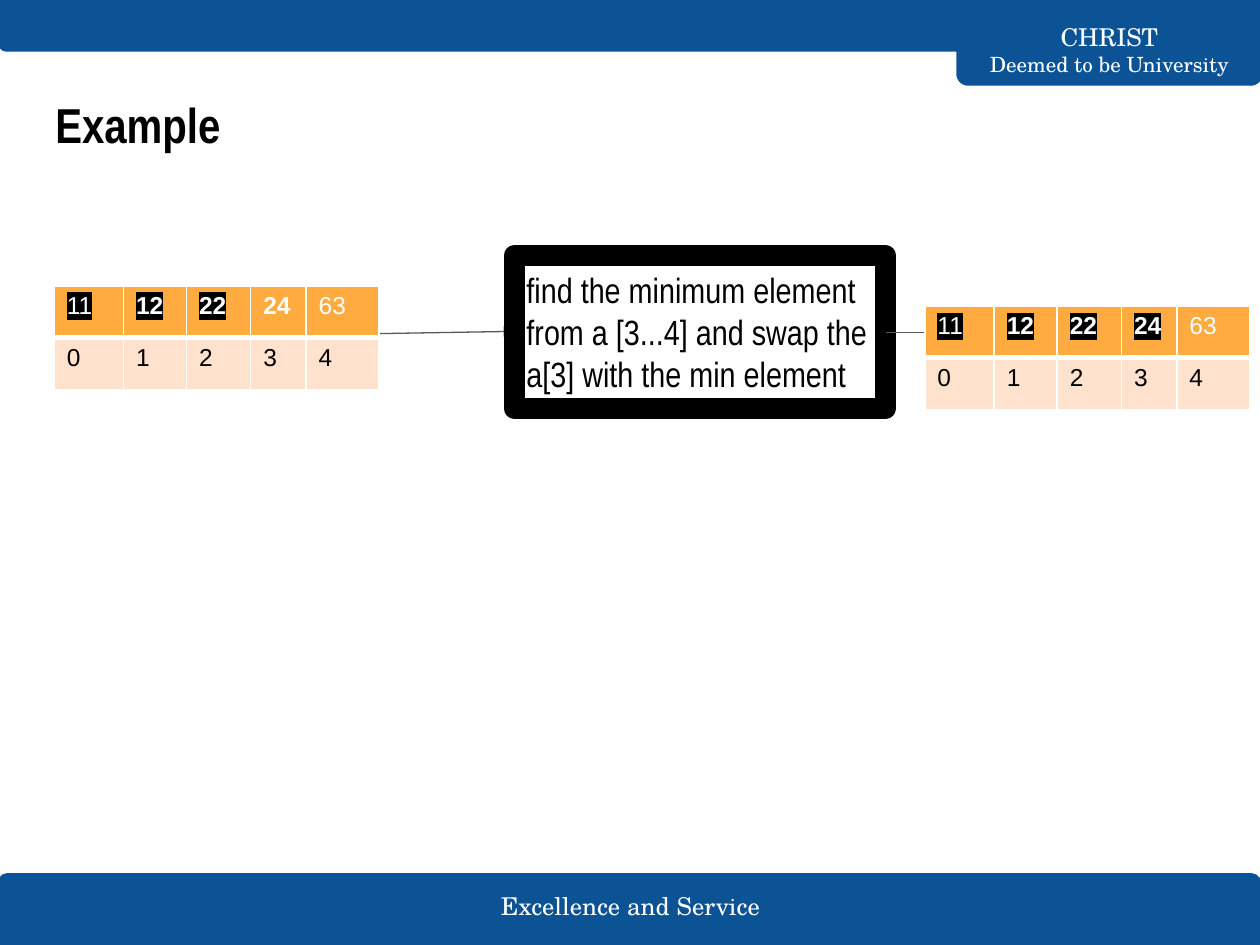
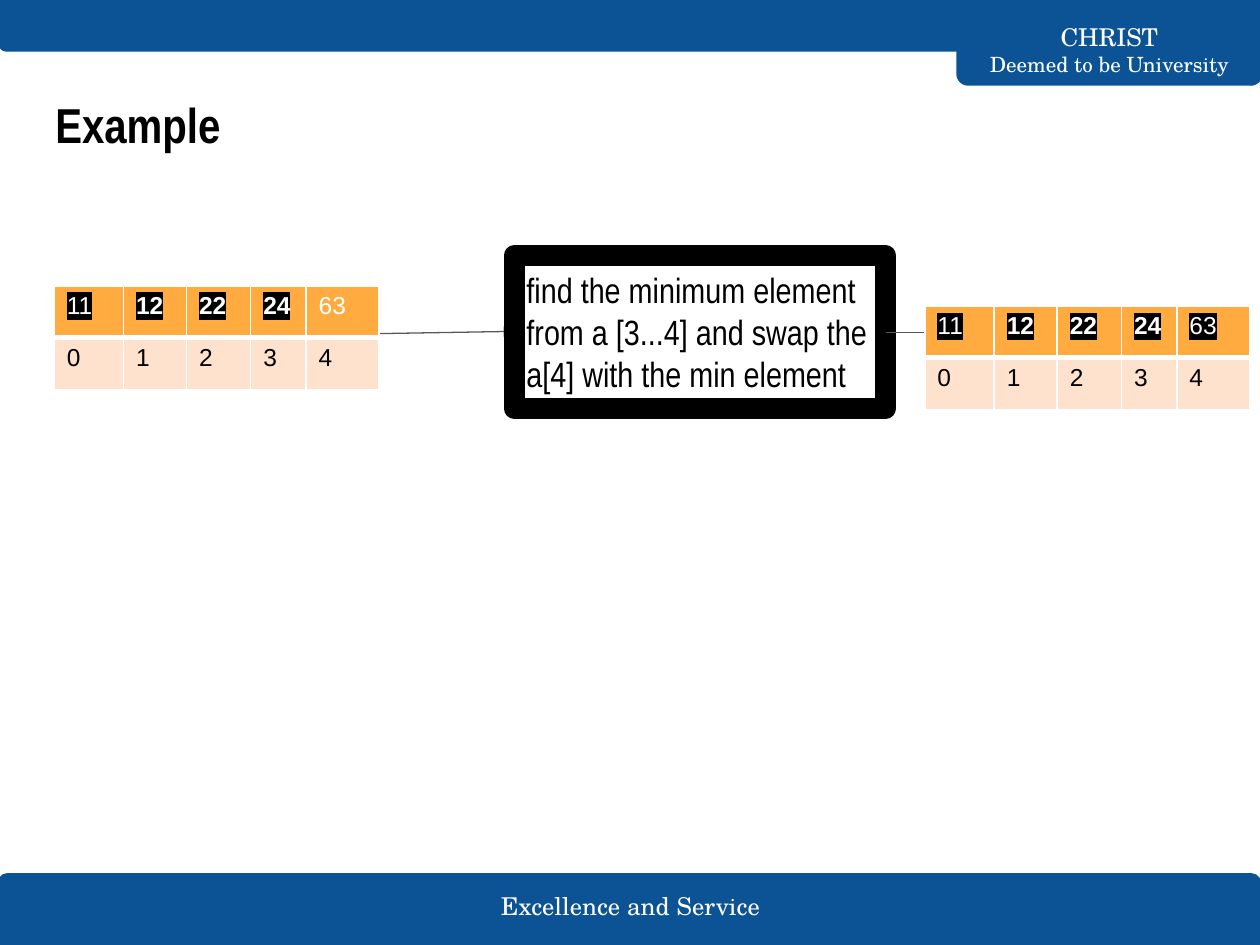
from lxml.etree import SubElement
from pptx import Presentation
from pptx.dml.color import RGBColor
from pptx.enum.shapes import MSO_CONNECTOR as Connector, MSO_SHAPE as Shape
from pptx.enum.text import MSO_ANCHOR as Anchor, MSO_AUTO_SIZE as AutoSize, PP_ALIGN as Align
from pptx.oxml.ns import qn
from pptx.util import Inches, Pt

COLORS = {
    "band": "0B5394", "white": "FFFFFF", "black": "000000",
    "arrow": "595959", "values": "FFAB40", "indexes": "FFE2CD",
}
SERIF, NARROW, SANS = "TeX Gyre Schola", "Arial Narrow", "Arial"

UNIVERSITY = [("CHRIST", 14), ("Deemed to be University", 12)]
MOTTO = "Excellence and Service"
TITLE = "Example"
ARRAY = ["11", "12", "22", "24", "63"]
BOLD_VALUES = {"12", "22", "24"}

# Each step: instruction, number of sorted values before and after it
STEPS = [
    ("find the minimum element from a [3...4] and swap the a[3] with the min element", 3, 4),
    ("find the minimum element from a [3...4] and swap the a[4] with the min element", 4, 5),
]

# Left, top, width, height, rotation
BANDS = [
    (-0.01, 6.94, 10.01, 0.56, 0),
    (7.6, 0, 2.41, 0.67, 180),
    (0, 0, 10.01, 0.4, 180),
]
MOTTO_BOX = (3.66, 7.03, 2.69, 0.32)
UNIVERSITY_BOX = (7.6, 0.27, 2.41, 0.25)
TITLE_BOX = (0.34, 0.65, 9.32, 0.83)
INSTRUCTION_BOX = (4.08, 2.03, 2.95, 1.21)
ARROW_IN = (2.87, 2.65, 4.08, 2.63)
ARROW_OUT = (7.03, 2.64, 7.91, 2.64)
BEFORE_AT, AFTER_AT = (0.43, 2.27), (7.34, 2.43)
COLUMN_WIDTHS = [0.55, 0.5, 0.51, 0.44, 0.58]
ROW_HEIGHT = 0.41


def rgb(name):
    return RGBColor.from_string(COLORS[name])


def inches(lengths):
    return [Inches(length) for length in lengths]


def add_run(paragraph, text, size, font_name, color, bold=False):
    run = paragraph.add_run()
    run.text = text
    run.font.size, run.font.name, run.font.bold = Pt(size), font_name, bold
    run.font.color.rgb = rgb(color)
    return run


def prepare_frame(shape, anchor=Anchor.TOP, align=Align.LEFT):
    """Set wrapping, insets and alignment; return the first paragraph."""
    frame = shape.text_frame
    frame.word_wrap = True
    frame.vertical_anchor = anchor
    frame.margin_left = frame.margin_right = Inches(0.1)
    frame.margin_top = frame.margin_bottom = Inches(0.1)
    frame.paragraphs[0].alignment = align
    return frame.paragraphs[0]


def add_brand_text(slide, box, lines):
    label = slide.shapes.add_textbox(*inches(box))
    paragraph = prepare_frame(label, Anchor.MIDDLE, Align.CENTER)
    for number, (text, size) in enumerate(lines):
        if number:
            paragraph.add_line_break()
        add_run(paragraph, text, size, SERIF, "white")


def add_bands(slide):
    for *box, rotation in BANDS:
        band = slide.shapes.add_shape(Shape.ROUND_2_SAME_RECTANGLE, *inches(box))
        band.adjustments[0], band.adjustments[1] = 0.125, 0
        band.rotation = rotation
        band.shadow.inherit = False
        band.fill.solid()
        band.fill.fore_color.rgb = band.line.color.rgb = rgb("band")
        band.line.width = Pt(1.5)
    add_brand_text(slide, MOTTO_BOX, [(MOTTO, 14)])
    add_brand_text(slide, UNIVERSITY_BOX, UNIVERSITY)


def add_title(slide):
    title = slide.shapes.add_textbox(*inches(TITLE_BOX))
    add_run(prepare_frame(title), TITLE, 28, NARROW, "black", bold=True)


def add_arrow(slide, ends):
    arrow = slide.shapes.add_connector(Connector.STRAIGHT, *inches(ends))
    arrow.line.color.rgb = rgb("arrow")
    arrow.line.width = Pt(0.75)
    properties = arrow._element.spPr
    SubElement(properties.find(qn("a:ln")), qn("a:tailEnd"), type="triangle")
    SubElement(properties, qn("a:effectLst"))


def add_instruction(slide, text):
    box = slide.shapes.add_shape(Shape.RECTANGLE, *inches(INSTRUCTION_BOX))
    box.shadow.inherit = False
    box.fill.background()
    box.line.color.rgb = rgb("black")
    box.line.width = Pt(12)
    add_run(prepare_frame(box), text, 20, NARROW, "black")
    box.text_frame.auto_size = AutoSize.SHAPE_TO_FIT_TEXT


def highlight(run):
    fill = run._r.get_or_add_rPr().find(qn("a:solidFill"))
    mark = SubElement(fill.getparent(), qn("a:highlight"))
    SubElement(mark, qn("a:srgbClr"), val=COLORS["black"])
    fill.addnext(mark)


def style_cell(cell, fill, top, bottom):
    """Give white borders, with top and bottom widths in points, and a fill."""
    properties = cell._tc.get_or_add_tcPr()
    for side, width in (("L", 1), ("R", 1), ("T", top), ("B", bottom)):
        border = SubElement(properties, qn(f"a:ln{side}"), w=str(Pt(width)))
        SubElement(SubElement(border, qn("a:solidFill")), qn("a:srgbClr"), val=COLORS["white"])
    cell.fill.solid()
    cell.fill.fore_color.rgb = rgb(fill)


def add_array(slide, position, sorted_count):
    """Draw the values above their indexes, marking the sorted ones."""
    size = (sum(COLUMN_WIDTHS), 2 * ROW_HEIGHT)
    table = slide.shapes.add_table(2, len(ARRAY), *inches(position + size)).table
    table.first_row = table.horz_banding = False
    for index, (value, width) in enumerate(zip(ARRAY, COLUMN_WIDTHS)):
        table.columns[index].width = Inches(width)
        value_cell, index_cell = table.cell(0, index), table.cell(1, index)
        style_cell(value_cell, "values", top=1, bottom=3)
        style_cell(index_cell, "indexes", top=3, bottom=1)
        number = add_run(value_cell.text_frame.paragraphs[0], value, 14, SANS,
                         "white", value in BOLD_VALUES)
        if index < sorted_count:
            highlight(number)
        add_run(index_cell.text_frame.paragraphs[0], str(index), 14, SANS, "black")


def main():
    deck = Presentation()
    deck.slide_width, deck.slide_height = Inches(10), Inches(7.5)
    for instruction, sorted_before, sorted_after in STEPS:
        slide = deck.slides.add_slide(deck.slide_layouts[6])
        add_bands(slide)
        add_title(slide)
        add_arrow(slide, ARROW_IN)
        add_instruction(slide, instruction)
        add_arrow(slide, ARROW_OUT)
        add_array(slide, AFTER_AT, sorted_after)
        add_array(slide, BEFORE_AT, sorted_before)
    deck.save("out.pptx")


if __name__ == "__main__":
    main()
